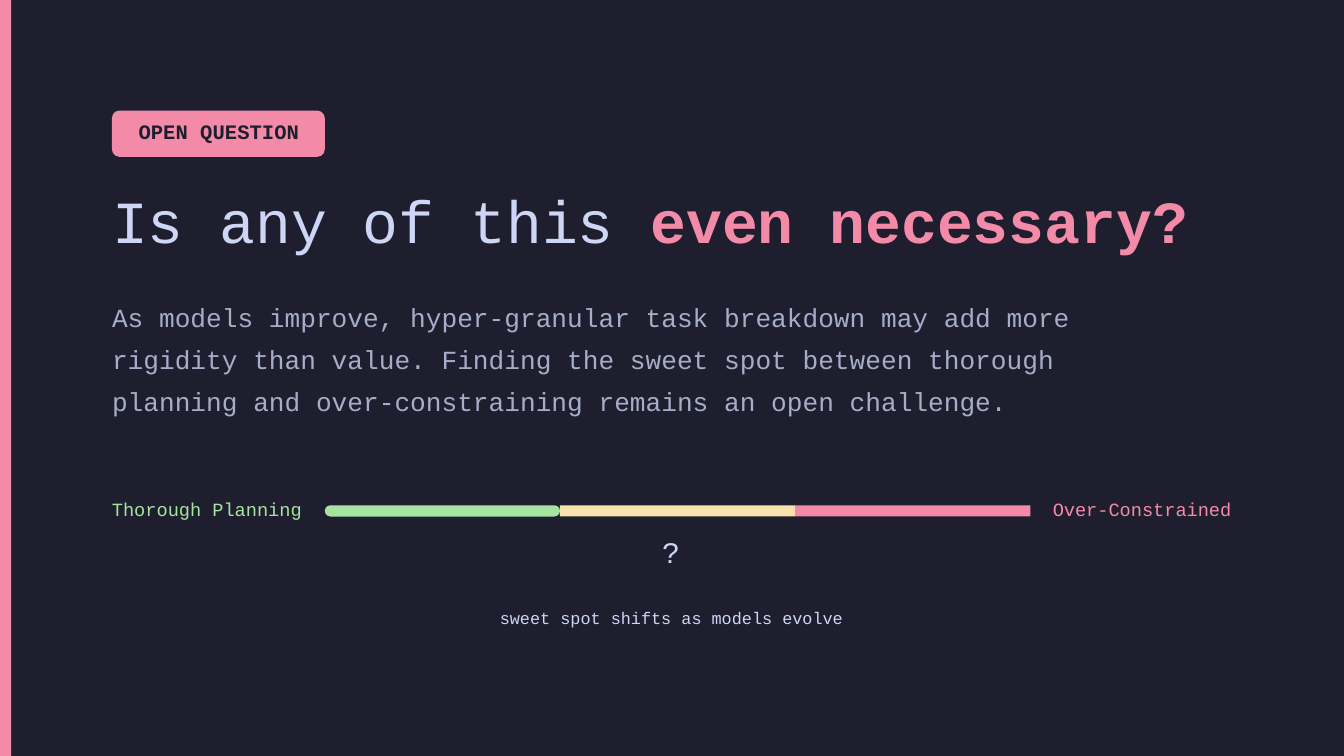
from lxml import etree
from pptx import Presentation, util as u
from pptx.dml.color import RGBColor
from pptx.enum import shapes, text
from pptx.oxml.ns import qn

NIGHT = RGBColor(0x1E, 0x1E, 0x2E)
PINK = RGBColor(0xF3, 0x8B, 0xA8)
GREEN = RGBColor(0xA6, 0xE3, 0xA1)
CREAM = RGBColor(0xF9, 0xE2, 0xAF)
PALE = RGBColor(0xCD, 0xD6, 0xF4)
GREY = RGBColor(0xA6, 0xAD, 0xC8)

RECT = shapes.MSO_SHAPE.RECTANGLE
ROUND = shapes.MSO_SHAPE.ROUNDED_RECTANGLE
PX = u.Inches(1) // 96


class Deck:
    """Holds the style and the slide being built."""

    face = "Courier New"

    def __init__(self, wide, high):
        self.show = Presentation()
        self.show.slide_width, self.show.slide_height = wide * PX, high * PX

    def page(self, color):
        self.slide = self.show.slides.add_slide(self.show.slide_layouts[1])
        fill = self.slide.background.fill
        fill.solid()
        fill.fore_color.rgb = color

    def block(self, box, color, kind=RECT, bend=None):
        """Add a plain filled shape; bend is its corner rounding."""
        shape = self.slide.shapes.add_shape(kind, *(n * PX for n in box))
        shape.shadow.inherit = False
        shape.fill.solid()
        shape.fill.fore_color.rgb = color
        shape.line.fill.background()
        if bend is not None:
            shape.adjustments[0] = bend

    def letter(self, shape, runs, size, lead=None):
        """Fill a frame with one paragraph of (words, color, bold) runs."""
        frame = shape.text_frame
        look = dict(margin_left=0, margin_top=0, margin_right=0,
                    margin_bottom=0, word_wrap=True,
                    auto_size=text.MSO_AUTO_SIZE.NONE,
                    vertical_anchor=text.MSO_ANCHOR.TOP)
        for key, val in look.items():
            setattr(frame, key, val)
        para = frame.paragraphs[0]
        para.alignment = text.PP_ALIGN.LEFT
        para.space_before = u.Pt(0)
        if lead:
            para.line_spacing = u.Pt(lead)
        for words, color, bold in runs:
            run = para.add_run()
            run.text = words
            form = dict(name=self.face, size=u.Pt(size), bold=bold)
            for key, val in form.items():
                setattr(run.font, key, val)
            run.font.color.rgb = color
        return para

    def label(self, box, words, color, size, bold=False):
        shape = self.slide.shapes.add_textbox(*(n * PX for n in box))
        self.letter(shape, [(words, color, bold)], size)

    def place(self, shape, box):
        for key, val in zip(("left", "top", "width", "height"), box):
            setattr(shape, key, val * PX)

    def title(self, box, runs, size, lead):
        shape = self.slide.shapes.title
        self.place(shape, box)
        self.letter(shape, runs, size, lead)

    def body(self, box, words, color, size, lead):
        """Set the body placeholder as plain text without a bullet."""
        shape = self.slide.placeholders[1]
        self.place(shape, box)
        para = self.letter(shape, [(words, color, False)], size, lead)
        props = para._p.get_or_add_pPr()
        props.set("marL", "0")
        props.set("indent", "0")
        etree.SubElement(props, qn("a:buNone"))


def main():
    deck = Deck(960, 540)
    deck.page(NIGHT)
    deck.block((0, 0, 8, 540), PINK)

    deck.block((80, 79, 152, 33), PINK, ROUND, 0.16)
    deck.label((99, 85, 117, 20), "OPEN QUESTION", NIGHT, 11, True)
    deck.title((80, 131, 816, 51),
               [("Is any of this ", PALE, False),
                ("even necessary?", PINK, True)], 32, 38.4)
    deck.body((80, 208, 761, 89),
              "As models improve, hyper-granular task breakdown may add more "
              "rigidity than value. Finding the sweet spot between thorough "
              "planning and over-constraining remains an open challenge.",
              GREY, 14, 22.4)

    deck.label((80, 356, 139, 17), "Thorough Planning", GREEN, 10)
    parts = [(GREEN, ROUND, 0.5), (CREAM, RECT, None), (PINK, RECT, None)]
    for i, (color, kind, bend) in enumerate(parts):
        deck.block((232 + 168 * i, 361, 168, 8), color, kind, bend)
    deck.label((752, 356, 131, 17), "Over-Constrained", PINK, 10)

    deck.label((473, 381, 14, 28), "?", PALE, 16)
    deck.label((357, 434, 250, 16), "sweet spot shifts as models evolve",
               PALE, 9)
    deck.show.save("out.pptx")


if __name__ == "__main__":
    main()
